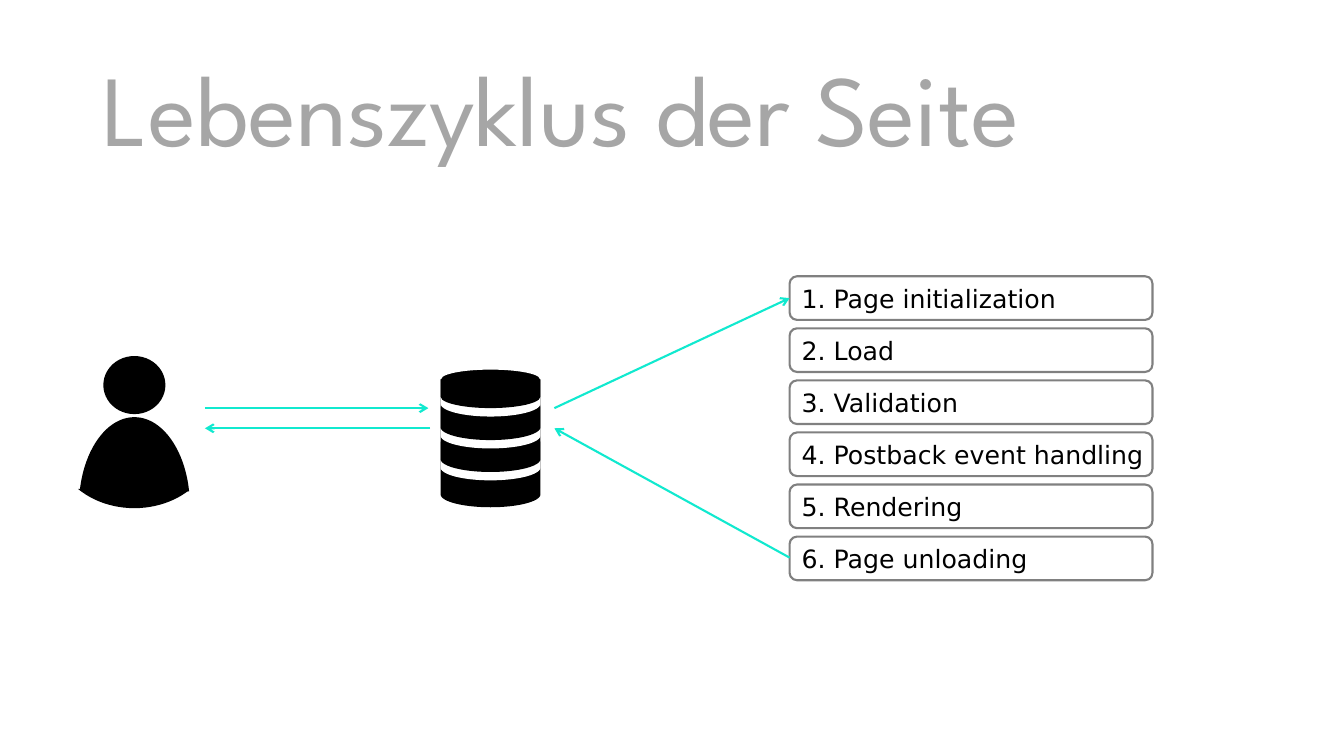
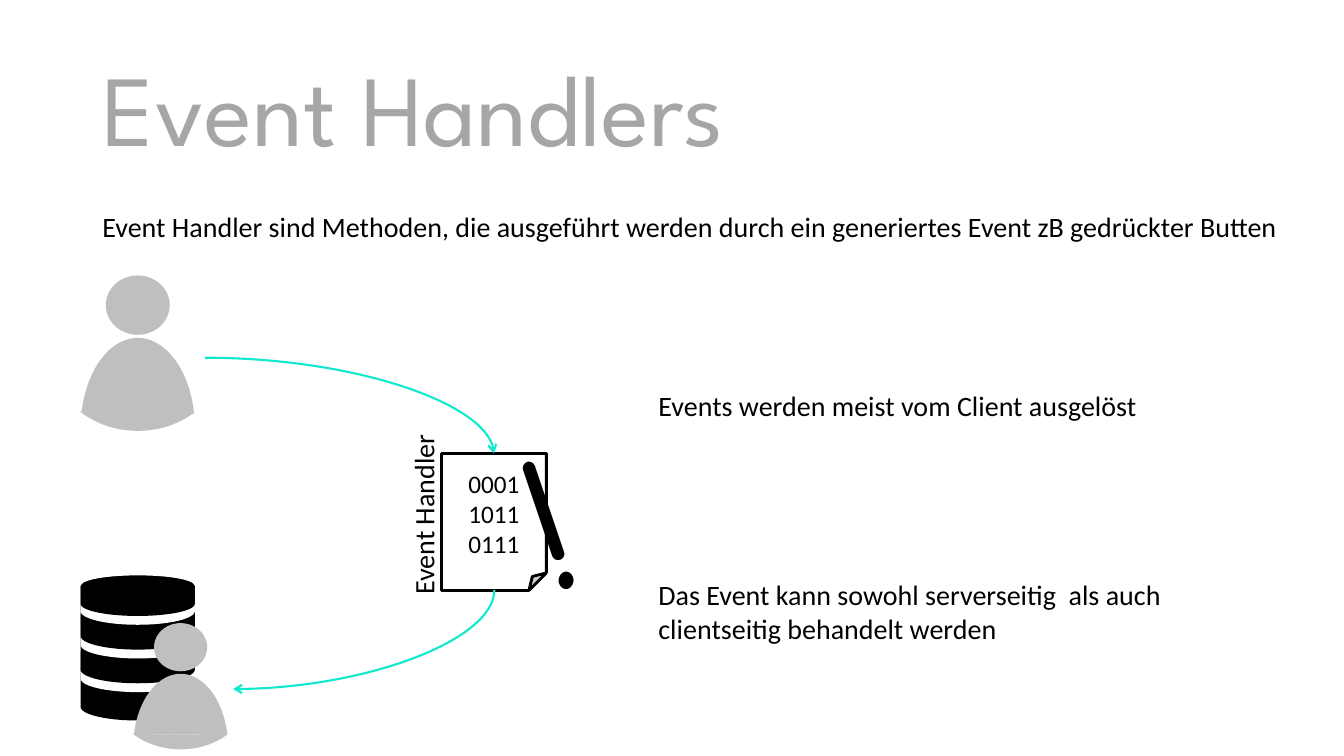
import pptx
import pptx.dml.color
import pptx.enum.shapes
import pptx.enum.text
import pptx.oxml
import pptx.oxml.ns
import pptx.util


class Theme:
    black, white = "000000", "FFFFFF"
    title, edge, pale, arrow = "A6A6A6", "808080", "BFBFBF", "11E9CF"
    head, plain, code, mark = "League Spartan", "Calibri", "DejaVu Sans", "Comic Neue"
    huge, big, text, small = 138, 72, 20, 18
    thin, thick = 1.5, 2


KIND = pptx.enum.shapes.MSO_SHAPE
LINK = pptx.enum.shapes.MSO_CONNECTOR
ALIGN = pptx.enum.text.PP_ALIGN
ANCHOR = pptx.enum.text.MSO_ANCHOR
Pt = pptx.util.Pt
Color = pptx.dml.color.RGBColor.from_string

deck = pptx.Presentation()
deck.slide_width = pptx.util.Inches(13.33)
deck.slide_height = pptx.util.Inches(7.5)

# The grid has 80 columns and 45 rows of square cells
cell = deck.slide_width / 80


def put(shapes, kind, mid, size, fill, line=None, width=1, turn=0, adjust=()):
    """Add a shape around its middle, measured in grid cells."""
    (x, y), (w, h) = mid, size
    shape = shapes.add_shape(kind, *(int(n * cell) for n in (x - w / 2, y - h / 2, w, h)))
    shape.shadow.inherit = False
    shape.rotation = turn
    shape.fill.solid()
    shape.fill.fore_color.rgb = Color(fill)
    if line:
        shape.line.color.rgb = Color(line)
        shape.line.width = Pt(width)
    else:
        shape.line.fill.background()
    for i, value in enumerate(adjust):
        shape.adjustments[i] = value
    return shape


def write(shape, text, font, size, color=Theme.black, align=ALIGN.LEFT,
          anchor=ANCHOR.MIDDLE, space=1):
    """Fill a shape with one paragraph per line of text."""
    frame = shape.text_frame
    frame.word_wrap = True
    frame.auto_size = pptx.enum.text.MSO_AUTO_SIZE.NONE
    frame.vertical_anchor = anchor
    for i, line in enumerate(text.split("\n")):
        para = frame.add_paragraph() if i else frame.paragraphs[0]
        para.alignment = align
        para.line_spacing = space
        run = para.add_run()
        run.text = line
        run.font.name = font
        run.font.size = Pt(size)
        run.font.color.rgb = Color(color)


# Slides and titles
pages = []
for text, width in (("Lebenszyklus der Seite", 73.1), ("Event Handlers", 69)):
    page = deck.slides.add_slide(deck.slide_layouts[5])
    title = page.shapes.title
    title.left, title.top, title.width, title.height = (
        int(n * cell) for n in (5.5, 2.4, width, 8.7))
    write(title, text, Theme.head, Theme.big, Theme.title, space=0.9)
    pages.append(page.shapes)
cycle, events = pages

# Steps of the page life cycle
steps = ("Page initialization", "Load", "Validation", "Postback event handling",
         "Rendering", "Page unloading")
for i, step in enumerate(steps):
    box = put(cycle, KIND.ROUNDED_RECTANGLE, (57.8, 17.75 + 3.1 * i), (21.6, 2.6),
              Theme.white, Theme.edge, Theme.thin, adjust=(0.17,))
    box.text_frame.margin_right = 0
    write(box, f"{i + 1}. {step}", Theme.code, Theme.small)

# Script sheet
sheet = put(events, KIND.FOLDED_CORNER, (29.4, 31.08), (6.25, 8.15),
            Theme.white, Theme.black, Theme.thick)
write(sheet, "0001\n1011\n0111", Theme.plain, Theme.small, align=ALIGN.CENTER)

# Arrows: page, start, end, quarter turns, curved
arrows = (
    (cycle, (12.2, 24.3), (25.5, 24.3), 0, False),
    (cycle, (25.6, 25.5), (12.2, 25.5), 0, False),
    (cycle, (33, 24.3), (47, 17.75), 0, False),
    (cycle, (47, 33.2), (33, 25.5), 0, False),
    (events, (12.2, 21.3), (29.4, 27), 0, True),
    (events, (18.7, 30.3), (24.6, 45.85), 1, True),
)
for shapes, start, end, turns, curved in arrows:
    arrow = shapes.add_connector(LINK.CURVE if curved else LINK.STRAIGHT,
                                 *(int(n * cell) for n in start + end))
    arrow.line.color.rgb = Color(Theme.arrow)
    arrow.line.width = Pt(Theme.thin)
    props = arrow._element.spPr
    if curved:
        props.find(pptx.oxml.ns.qn("a:prstGeom")).set("prst", "curvedConnector2")
    if turns:
        props.find(pptx.oxml.ns.qn("a:xfrm")).set("rot", str(turns * 90 * 60000))
    tail = pptx.oxml.parse_xml(f'<a:tailEnd {pptx.oxml.ns.nsdecls("a")} type="arrow"/>')
    props.find(pptx.oxml.ns.qn("a:ln")).append(tail)
    props.append(pptx.oxml.parse_xml(f'<a:effectLst {pptx.oxml.ns.nsdecls("a")}/>'))

# Texts: place, turn, wording, font, size, alignment
notes = (
    ((5.5, 12.2, 72.2, 2.65), 0,
     "Event Handler sind Methoden, die ausgeführt werden durch ein generiertes "
     "Event zB gedrückter Butten", Theme.plain, Theme.text, ALIGN.LEFT),
    ((38.6, 34.1, 31.25, 4.6), 0,
     "Das Event kann sowohl serverseitig  als auch clientseitig behandelt werden",
     Theme.plain, Theme.text, ALIGN.LEFT),
    ((38.6, 22.85, 31.25, 2.65), 0, "Events werden meist vom Client ausgelöst",
     Theme.plain, Theme.text, ALIGN.LEFT),
    ((19.55, 29, 11.35, 2.65), 270, "Event Handler",
     Theme.plain, Theme.text, ALIGN.LEFT),
    ((29.8, 23.45, 5.2, 14.5), 341.3, "!", Theme.mark, Theme.huge, ALIGN.CENTER),
)
for place, turn, text, font, size, align in notes:
    note = events.add_textbox(*(int(n * cell) for n in place))
    note.rotation = turn
    write(note, text, font, size, align=align, anchor=ANCHOR.TOP)

# Data stores: discs from bottom to top, as shares of the whole height
discs = ((0.54, 0.46, Theme.black), (0.38, 0.46, Theme.white),
         (0.33, 0.46, Theme.black), (0.19, 0.46, Theme.white),
         (0.14, 0.46, Theme.black), (0, 0.46, Theme.white), (0, 0.41, Theme.black))
for shapes, x, top, w, h in ((cycle, 29.2, 20.2, 5.95, 10),
                             (events, 8.2, 32.35, 6.8, 10.55)):
    store = shapes.add_group_shape().shapes
    for drop, tall, fill in discs:
        put(store, KIND.FLOWCHART_MAGNETIC_DISK, (x, top + (drop + tall / 2) * h),
            (w, tall * h), fill)
    put(store, KIND.FLOWCHART_STORED_DATA, (x, top + 0.06 * h), (0.35 * h, w),
        Theme.white, Theme.white, turn=90)

# Users: head, torso and round base; chord angles are in degrees,
# stored in 60000ths while an adjustment counts 100000ths
torso, base = ([angle * 0.6 for angle in pair] for pair in ((105.8, 255.2), (131, 230.9)))
for shapes, x, top, w, h, fill in ((cycle, 8, 21.2, 6.6, 9.1, Theme.black),
                                   (events, 8.2, 16.4, 6.8, 9.3, Theme.pale),
                                   (events, 10.75, 37.1, 5.65, 7.55, Theme.pale)):
    user = shapes.add_group_shape().shapes
    put(user, KIND.OVAL, (x, top + 0.19 * h), (0.56 * w, 0.38 * h), fill)
    put(user, KIND.CHORD, (x, top + 0.98 * h), (1.16 * h, w), fill, turn=90, adjust=torso)
    put(user, KIND.CHORD, (x, top + 0.57 * h), (0.85 * h, 1.43 * w), fill, turn=270,
        adjust=base)

deck.save("out.pptx")
